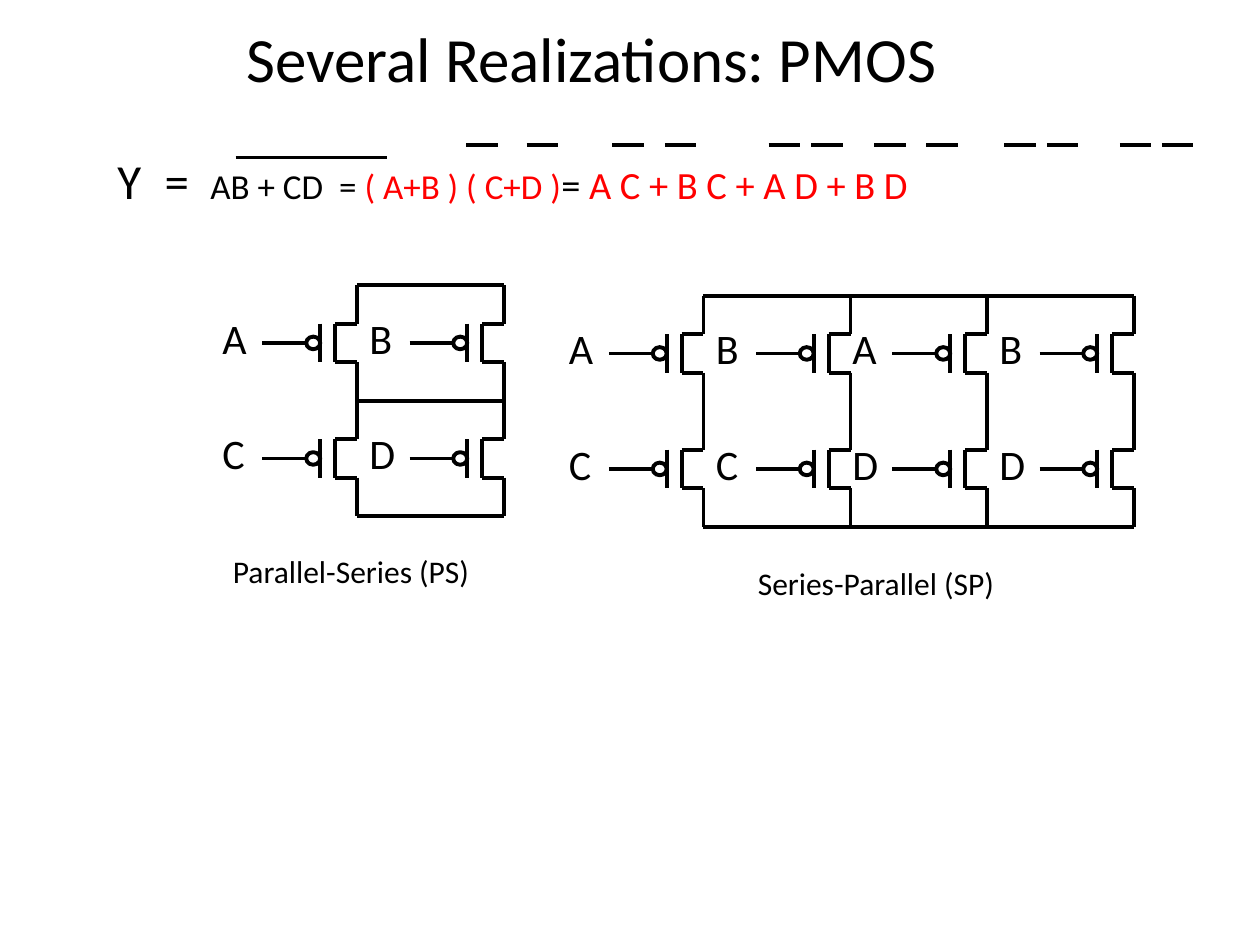
import pptx
import pptx.dml.color
import pptx.enum.shapes
import pptx.enum.text
import pptx.util
from pptx.oxml.xmlchemy import OxmlElement

Pt = pptx.util.Pt
FONT, BLACK, RED, WHITE = "Calibri", "000000", "FF0000", "FFFFFF"
LINE_WIDTH = 2.25

# Content
TITLE = "Several Realizations: PMOS "
FORMULA = [  # text, size, colour
    ("Y\t=", 28, BLACK),
    (" ", 54, BLACK),
    ("AB + CD", 20, BLACK),
    (" ", 40, BLACK),
    ("=", 20, BLACK),
    (" ( A+B ) ( C+D )", 20, RED),
    ("= ", 22, BLACK),
    ("A C + B C + A D + B D", 22, RED),
]
LONG_BAR = (134.6, 90, 221, 90)
SHORT_BARS = [266.4, 301, 350, 380, 439.2, 463.7,
              499.7, 529.2, 573.8, 598.3, 640, 664]
SHORT_BAR_TOP, SHORT_BAR_LENGTH = 82.8, 18

CIRCUITS = [
    {"caption": "Parallel-Series (PS)", "caption_at": (126, 312),
     "top": 163, "columns": [204, 288], "rows": ["AB", "CD"], "rails": [0, 1, 2]},
    {"caption": "Series-Parallel (SP)", "caption_at": (426, 319),
     "top": 169, "columns": [402, 486, 564, 648], "rows": ["ABAB", "CCDD"],
     "rails": [0, 2]},
]
ROW_HEIGHT = 66
# Transistor lines, measured from the upper end of its right-hand wire
TRANSISTOR = [
    (-21, 22, -21, 44),      # gate
    (-12.5, 22, -12.5, 44),  # channel
    (-12.5, 22, 0, 22),
    (-12.5, 44, 0, 44),
    (0, 0, 0, 22),
    (0, 44, 0, ROW_HEIGHT),
    (-54, 33, -29, 33),      # input
]
BUBBLE = (-29, 29.4, 8, 7.2)
LABEL = (-84, 12, 48, 36)


def color(value):
    return pptx.dml.color.RGBColor.from_string(value)


def add_line(shapes, x1, y1, x2, y2):
    connector = shapes.add_connector(
        pptx.enum.shapes.MSO_CONNECTOR.STRAIGHT, Pt(x1), Pt(y1), Pt(x2), Pt(y2))
    connector.line.color.rgb = color(BLACK)
    connector.line.width = Pt(LINE_WIDTH)
    connector._element.spPr.append(OxmlElement("a:effectLst"))


def add_text(shapes, left, top, width, height, runs):
    box = shapes.add_textbox(Pt(left), Pt(top), Pt(width), Pt(height))
    box.text_frame.word_wrap = True
    paragraph = box.text_frame.paragraphs[0]
    for text, size, run_color in runs:
        run = paragraph.add_run()
        run.text = text
        run.font.name = FONT
        run.font.size = Pt(size)
        run.font.color.rgb = color(run_color)
    return box.text_frame


def add_transistor(shapes, x, y):
    group = shapes.add_group_shape()
    for x1, y1, x2, y2 in TRANSISTOR:
        add_line(group.shapes, x + x1, y + y1, x + x2, y + y2)
    left, top, width, height = BUBBLE
    bubble = group.shapes.add_shape(
        pptx.enum.shapes.MSO_SHAPE.OVAL,
        Pt(x + left), Pt(y + top), Pt(width), Pt(height))
    bubble.shadow.inherit = False
    bubble.fill.solid()
    bubble.fill.fore_color.rgb = color(WHITE)
    bubble.line.color.rgb = color(BLACK)
    bubble.line.width = Pt(LINE_WIDTH)


def add_circuit(shapes, circuit):
    columns, top = circuit["columns"], circuit["top"]
    for row, inputs in enumerate(circuit["rows"]):
        y = top + row * ROW_HEIGHT
        for x, name in zip(columns, inputs):
            add_transistor(shapes, x, y)
            left, offset, width, height = LABEL
            add_text(shapes, x + left, y + offset, width, height,
                     [(name, 24, BLACK)])
    for rail in circuit["rails"]:
        y = top + rail * ROW_HEIGHT
        add_line(shapes, columns[0], y, columns[-1], y)
    add_text(shapes, *circuit["caption_at"], 186, 28.8,
             [(circuit["caption"], 18, BLACK)])


def main():
    presentation = pptx.Presentation()
    presentation.slide_width, presentation.slide_height = Pt(720), Pt(540)
    slide = presentation.slides.add_slide(presentation.slide_layouts[6])
    shapes = slide.shapes

    # Title
    title = add_text(shapes, 36, 0, 612, 66, [(TITLE, 36, BLACK)])
    title.vertical_anchor = pptx.enum.text.MSO_ANCHOR.MIDDLE
    title.paragraphs[0].alignment = pptx.enum.text.PP_ALIGN.CENTER

    # Formula with a hanging indent
    formula = add_text(shapes, 60, 54, 648, 48, FORMULA)
    formula.margin_top = Pt(6)
    properties = formula.paragraphs[0]._p.get_or_add_pPr()
    properties.set("marL", str(Pt(27)))
    properties.set("indent", str(-Pt(27)))

    # Negation bars
    add_line(shapes, *LONG_BAR)
    for x in SHORT_BARS:
        add_line(shapes, x, SHORT_BAR_TOP, x + SHORT_BAR_LENGTH, SHORT_BAR_TOP)

    # Circuits
    for circuit in CIRCUITS:
        add_circuit(shapes, circuit)

    presentation.save("out.pptx")


if __name__ == "__main__":
    main()
